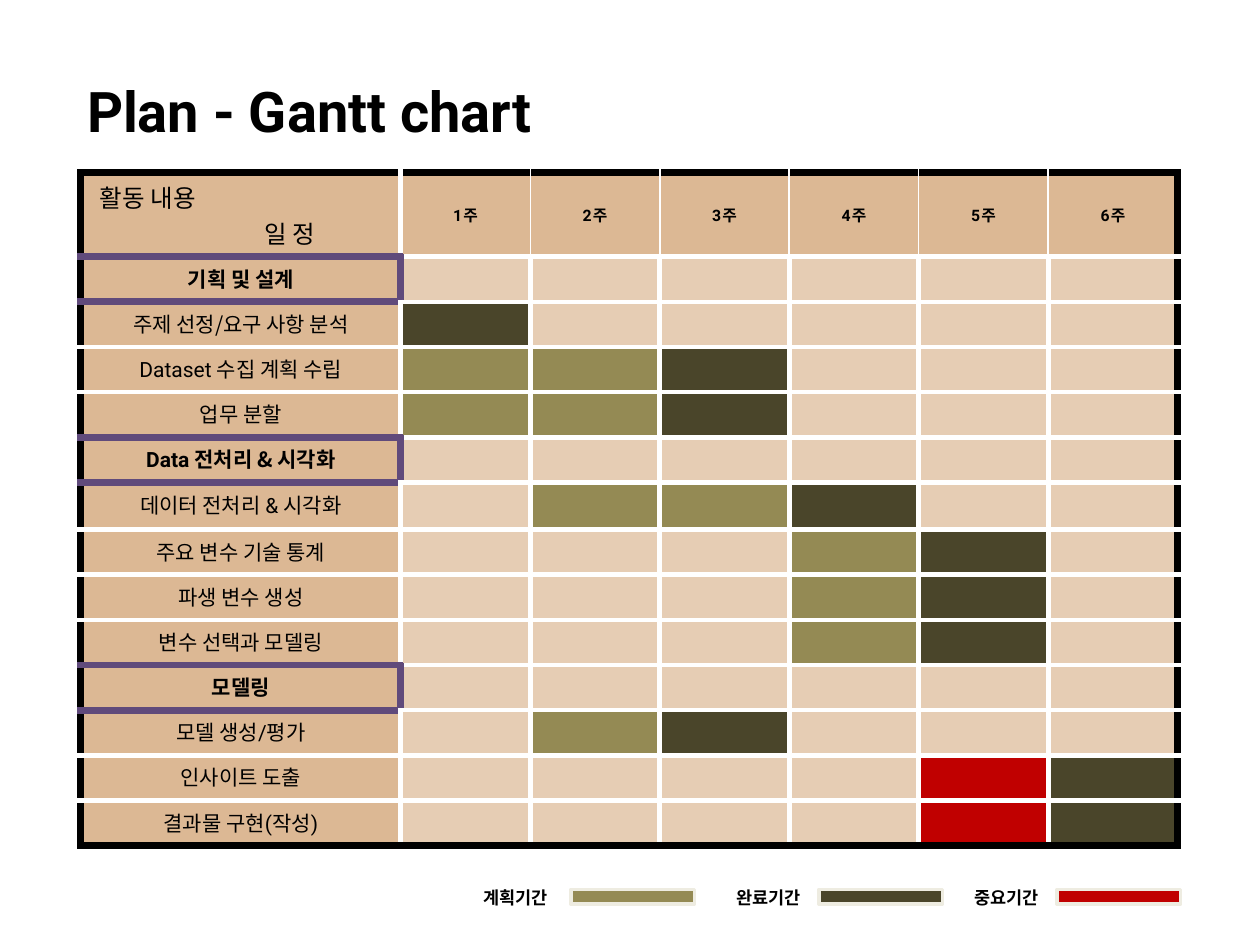
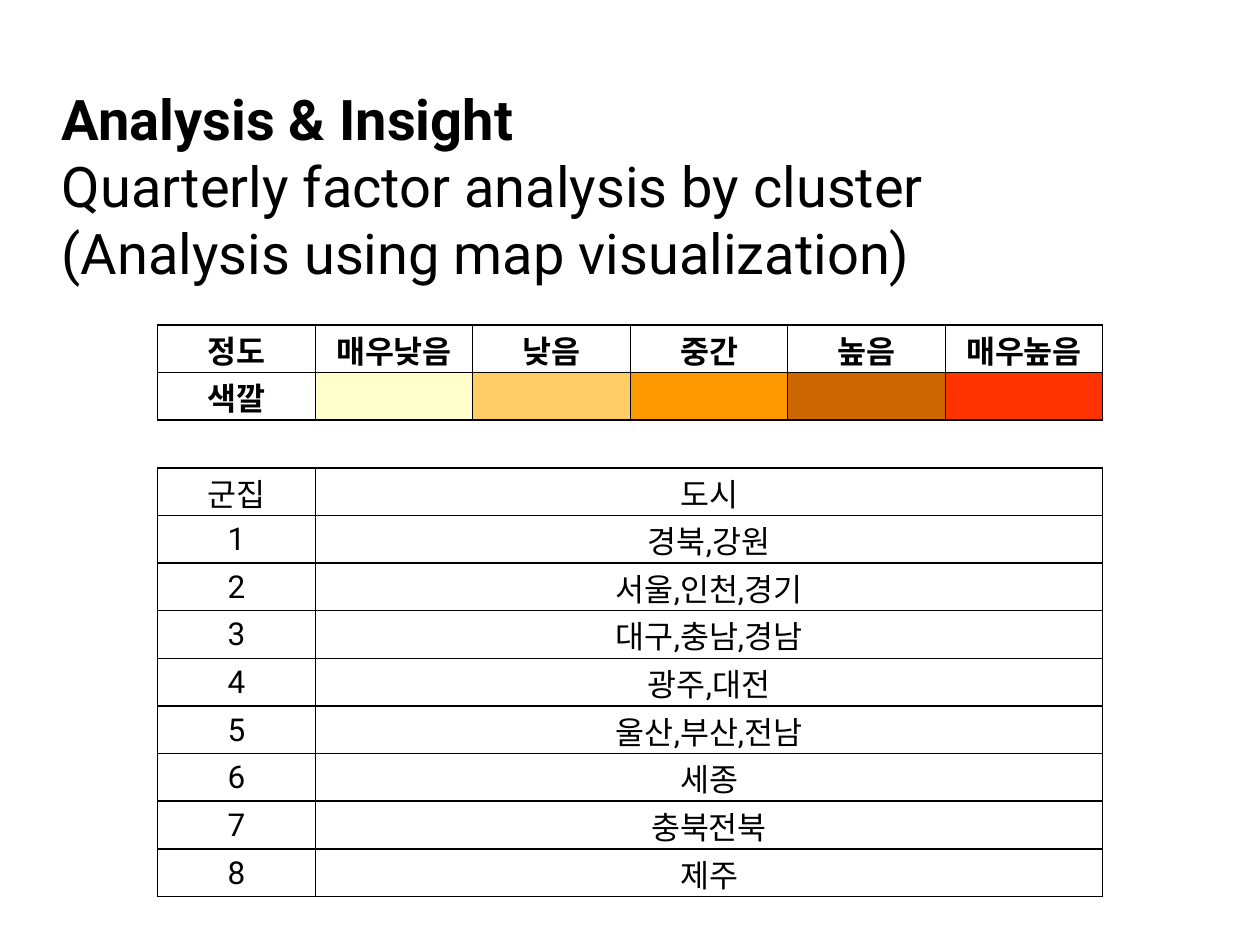
from dataclasses import dataclass

from lxml import etree
from pptx import Presentation
from pptx.dml.color import RGBColor
from pptx.enum import shapes, text
from pptx.oxml.ns import qn
from pptx.util import Cm, Pt

LATIN = "Roboto"
KOREAN = "Noto Sans CJK KR"
BLACK, WHITE, PURPLE = "000000", "FFFFFF", "604A7B"
HEADING, OPEN = "DCB894", "E6CDB4"
PLANNED, DONE, CRITICAL = "948A54", "4A452A", "C00000"
SWATCH_EDGE = "EEECE1"
WEEK_FILLS = {".": OPEN, "P": PLANNED, "D": DONE, "C": CRITICAL}


@dataclass(frozen=True)
class Run:
    words: str
    size: float
    bold: bool = False
    font: str = LATIN
    spacing: float = 0


@dataclass(frozen=True)
class Box:
    left: float
    top: float
    width: float
    height: float

    def lengths(self) -> tuple:
        return Cm(self.left), Cm(self.top), Cm(self.width), Cm(self.height)


@dataclass(frozen=True)
class Edge:
    color: str
    points: float


@dataclass(frozen=True)
class Activity:
    words: tuple
    weeks: str = "......"
    section: bool = False
    height: float = 0.91


@dataclass(frozen=True)
class LegendEntry:
    label: str
    color: str
    label_left: float
    swatch_left: float


FRAME = Edge(BLACK, 4.5)
SECTION_EDGE = Edge(PURPLE, 4.5)
GRID = Edge(WHITE, 3)
WEEK_EDGE = Edge(WHITE, 1)
RULE = Edge(BLACK, 1)

ACTIVITIES = [
    Activity(("기획 및 설계",), section=True),
    Activity(("주제 선정", "/요구 사항 분석"), "D....."),
    Activity(("Dataset 수집 계획 수립",), "PPD..."),
    Activity(("업무 분할",), "PPD..."),
    Activity(("Data ", "전처리 & 시각화"), section=True),
    Activity(("데이터 전처리 & 시각화",), ".PPD..", height=0.95),
    Activity(("주요 변수 기술 통계",), "...PD."),
    Activity(("파생 변수 생성",), "...PD."),
    Activity(("변수 선택과 모델링",), "...PD."),
    Activity(("모델링",), section=True),
    Activity(("모델 생성/평가",), ".PD..."),
    Activity(("인사이트 도출",), "....CD"),
    Activity(("결과물 구현(작성)",), "....CD"),
]
WEEKS = 6
SECTION_ROWS = {row for row, activity in enumerate(ACTIVITIES, 1) if activity.section}

LEGEND = [
    LegendEntry("계획기간", PLANNED, 9.5, 11.51),
    LegendEntry("완료기간", DONE, 14.6, 16.51),
    LegendEntry("중요기간", CRITICAL, 19.4, 21.31),
]

DEGREES = [
    ("매우낮음", "FFFFCC"),
    ("낮음", "FFCC66"),
    ("중간", "FF9900"),
    ("높음", "CC6600"),
    ("매우높음", "FF3300"),
]
CLUSTERS = [
    ("군집", "도시"),
    ("1", "경북,강원"),
    ("2", "서울,인천,경기"),
    ("3", "대구,충남,경남"),
    ("4", "광주,대전"),
    ("5", "울산,부산,전남"),
    ("6", "세종"),
    ("7", "충북전북"),
    ("8", "제주"),
]


def rgb(color: str) -> RGBColor:
    return RGBColor.from_string(color)


def write(frame, lines: list, align=text.PP_ALIGN.LEFT) -> None:
    for index, line in enumerate(lines):
        paragraph = frame.add_paragraph() if index else frame.paragraphs[0]
        paragraph.alignment = align
        for piece in line:
            run = paragraph.add_run()
            run.text = piece.words
            run.font.size = Pt(piece.size)
            run.font.bold = piece.bold
            run.font.color.rgb = rgb(BLACK)
            run.font.name = piece.font
            properties = run.font._element
            etree.SubElement(properties, qn("a:ea"), typeface=KOREAN)
            if piece.spacing:
                properties.set("spc", str(round(piece.spacing * 100)))


def add_title(slide, box: Box, lines: list) -> None:
    title = slide.shapes.title
    title.left, title.top, title.width, title.height = box.lengths()
    frame = title.text_frame
    frame.word_wrap = True
    frame.auto_size = text.MSO_AUTO_SIZE.NONE
    frame.vertical_anchor = text.MSO_ANCHOR.TOP
    write(frame, lines)


def add_grid(slide, box: Box, widths: list, heights: list):
    table = slide.shapes.add_table(len(heights), len(widths), *box.lengths()).table
    table.first_row = table.horz_banding = False
    for column, width in zip(table.columns, widths):
        column.width = Cm(width)
    for row, height in zip(table.rows, heights):
        row.height = Cm(height)
    return table


def style_cell(cell, edges: tuple, fill: str | None) -> None:
    properties = cell._tc.get_or_add_tcPr()
    for side, edge in zip("LRTB", edges):
        line = etree.SubElement(properties, qn(f"a:ln{side}"))
        if edge is None:
            etree.SubElement(line, qn("a:noFill"))
            continue
        line.set("w", str(Pt(edge.points)))
        solid = etree.SubElement(line, qn("a:solidFill"))
        etree.SubElement(solid, qn("a:srgbClr"), val=edge.color)
    if fill is None:
        cell.fill.background()
    else:
        cell.fill.solid()
        cell.fill.fore_color.rgb = rgb(fill)


def set_empty_size(cell, points: float) -> None:
    paragraph = cell.text_frame.paragraphs[0]._p
    etree.SubElement(paragraph, qn("a:endParaRPr"), sz=str(round(points * 100)))


def gantt_row_edge(boundary: int, column: int) -> Edge:
    if boundary in (0, len(ACTIVITIES) + 1):
        return FRAME
    if column == 0 and SECTION_ROWS & {boundary, boundary - 1}:
        return SECTION_EDGE
    return GRID


def gantt_column_edge(row: int, boundary: int) -> Edge:
    if boundary in (0, WEEKS + 1):
        return FRAME
    if boundary == 1:
        return SECTION_EDGE if row in SECTION_ROWS else GRID
    return WEEK_EDGE if row == 0 else GRID


def style_gantt_cell(table, row: int, column: int, fill: str):
    cell = table.cell(row, column)
    edges = (
        gantt_column_edge(row, column),
        gantt_column_edge(row, column + 1),
        gantt_row_edge(row, column),
        gantt_row_edge(row + 1, column),
    )
    style_cell(cell, edges, fill)
    return cell


def add_gantt(slide) -> None:
    heights = [1.32] + [activity.height for activity in ACTIVITIES]
    table = add_grid(slide, Box(1.63, 3.48, 22.07, 13.64), [6.45] + [2.61] * WEEKS, heights)

    corner = style_gantt_cell(table, 0, 0, HEADING)
    write(corner.text_frame, [[Run("활동 내용", 14)], [Run("일 정", 14)]])
    for paragraph, indent in zip(corner.text_frame.paragraphs, (0.13, 3.45)):
        paragraph._p.get_or_add_pPr().set("marL", str(Cm(indent)))

    for week in range(1, WEEKS + 1):
        cell = style_gantt_cell(table, 0, week, HEADING)
        cell.vertical_anchor = text.MSO_ANCHOR.MIDDLE
        write(cell.text_frame, [[Run(f"{week} 주", 9, True, spacing=-1.5)]], text.PP_ALIGN.CENTER)

    for row, activity in enumerate(ACTIVITIES, 1):
        cell = style_gantt_cell(table, row, 0, HEADING)
        runs = [
            Run(words, 12, activity.section, font)
            for words, font in zip(activity.words, (LATIN, KOREAN))
        ]
        write(cell.text_frame, [runs], text.PP_ALIGN.CENTER)
        for week, state in enumerate(activity.weeks, 1):
            set_empty_size(style_gantt_cell(table, row, week, WEEK_FILLS[state]), 12)


def add_legend_entry(slide, entry: LegendEntry) -> None:
    label = slide.shapes.add_textbox(*Box(entry.label_left, 17.75, 2.21, 0.69).lengths())
    label.text_frame.word_wrap = True
    write(label.text_frame, [[Run(entry.label, 10, True)]])

    swatch_box = Box(entry.swatch_left, 17.93, 2.49, 0.3)
    swatch = slide.shapes.add_shape(shapes.MSO_SHAPE.RECTANGLE, *swatch_box.lengths())
    swatch.shadow.inherit = False
    swatch.fill.solid()
    swatch.fill.fore_color.rgb = rgb(entry.color)
    swatch.line.color.rgb = rgb(SWATCH_EDGE)
    swatch.line.width = Pt(2)


def fill_cluster_cell(cell, words: str, bold: bool = False) -> None:
    write(cell.text_frame, [[Run(words, 18, bold)]], text.PP_ALIGN.CENTER)


def add_clusters(slide) -> None:
    spacer, first_cluster = 2, 3
    columns = len(DEGREES) + 1
    rows = first_cluster + len(CLUSTERS)
    table = add_grid(slide, Box(3.18, 6.55, 19.05, 11.51), [3.175] * columns, [0.96] * rows)
    colors = [None] + [color for _, color in DEGREES]
    for row in range(rows):
        side = None if row == spacer else RULE
        for column in range(columns):
            cell = table.cell(row, column)
            style_cell(cell, (side, side, RULE, RULE), colors[column] if row == 1 else None)
            cell.vertical_anchor = text.MSO_ANCHOR.MIDDLE
            cell.margin_left = cell.margin_right = cell.margin_top = Cm(0.03)
            cell.margin_bottom = 0

    for column, words in enumerate(["정도"] + [degree for degree, _ in DEGREES]):
        fill_cluster_cell(table.cell(0, column), words, True)
    fill_cluster_cell(table.cell(1, 0), "색깔", True)
    for row, (cluster, cities) in enumerate(CLUSTERS, first_cluster):
        table.cell(row, 1).merge(table.cell(row, columns - 1))
        fill_cluster_cell(table.cell(row, 0), cluster)
        fill_cluster_cell(table.cell(row, 1), cities)


def main() -> None:
    deck = Presentation()
    deck.slide_width, deck.slide_height = Cm(25.4), Cm(19.05)
    title_only = deck.slide_layouts[5]

    plan = deck.slides.add_slide(title_only)
    add_title(plan, Box(1.5, 1.42, 10.31, 1.63), [[Run("Plan - Gantt chart", 32, True)]])
    add_gantt(plan)
    for entry in LEGEND:
        add_legend_entry(plan, entry)

    insight = deck.slides.add_slide(title_only)
    add_title(insight, Box(0.99, 1.57, 24.4, 4.4), [
        [Run("Analysis & Insight", 32, True)],
        [Run("Quarterly factor analysis by cluster", 32)],
        [Run("(Analysis using map visualization)", 32)],
    ])
    add_clusters(insight)

    deck.save("out.pptx")


if __name__ == "__main__":
    main()
